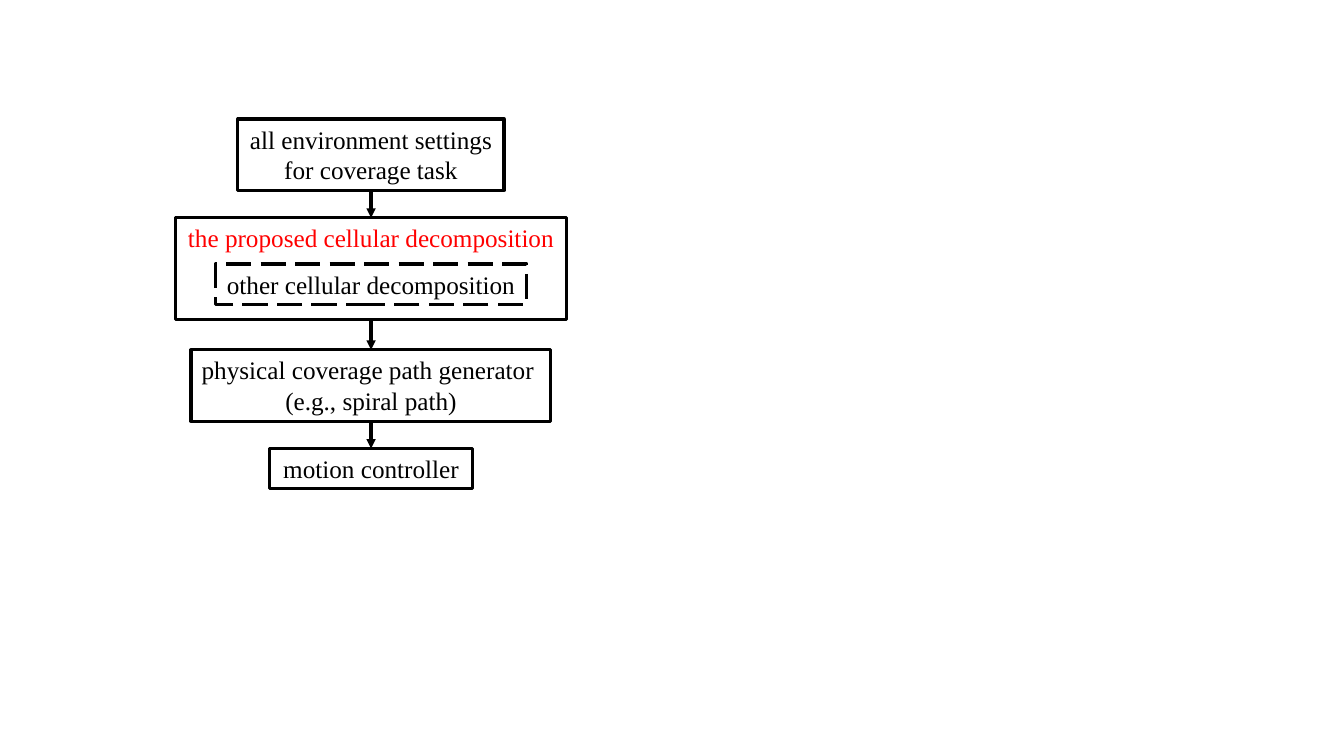
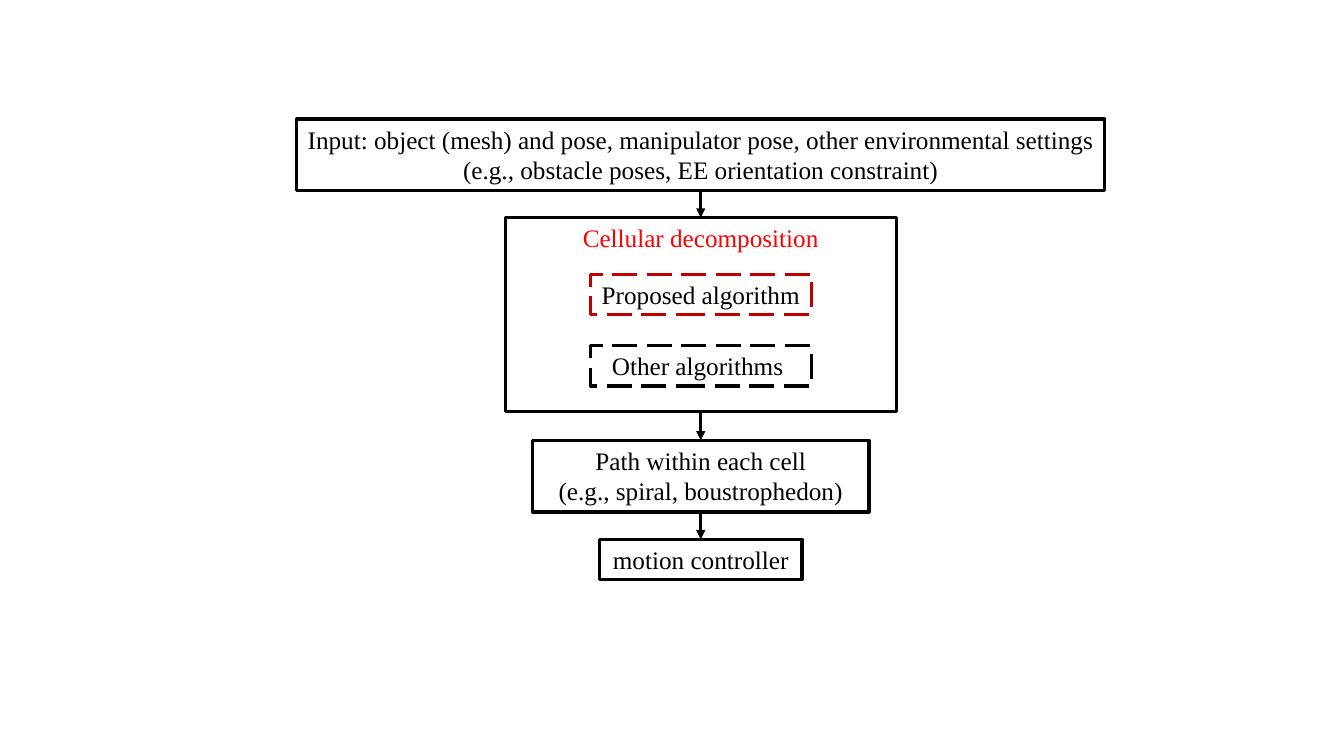
from pptx import Presentation
from pptx.dml.color import RGBColor
from pptx.enum.dml import MSO_LINE_DASH_STYLE as DASH
from pptx.enum.shapes import MSO_CONNECTOR as CONNECTOR, MSO_SHAPE as SHAPE
from pptx.enum.text import MSO_ANCHOR as ANCHOR, PP_ALIGN as ALIGN
from pptx.oxml.ns import qn
from pptx.util import Inches, Pt
from lxml.etree import SubElement

COLORS = {"ink": "000000", "accent": "FF0000", "proposed": "C00000"}
FONT = "Times New Roman"
TOP = 1.18
ONE_LINE, TWO_LINES = 0.4, 0.71


def rgb(name):
    """Return the palette colour with the given name."""
    return RGBColor.from_string(COLORS[name])


def style_line(item, color="ink", dash=None):
    """Give a shape or connector the shared outline and return its XML element."""
    item.line.color.rgb = rgb(color)
    item.line.width = Pt(2.25)
    if dash:
        item.line.dash_style = dash
    outline = item._element.spPr.find(qn("a:ln"))
    SubElement(outline, qn("a:round"))
    return outline


def write_text(frame, text, size=18, color="ink", align=ALIGN.CENTER):
    """Fill a text frame from the top, one paragraph per line of text."""
    frame.word_wrap = False
    frame.vertical_anchor = ANCHOR.TOP
    frame.text = text
    for para in frame.paragraphs:
        para.alignment = align
        para.font.name = FONT
        para.font.size = Pt(size)
        para.font.color.rgb = rgb(color)


def add_box(page, text, center, top, width, height, color="ink", line="ink", dash=None):
    """Draw an outlined text box centred on a vertical axis."""
    box = page.shapes.add_shape(SHAPE.RECTANGLE, Inches(center - width / 2), Inches(top),
                                Inches(width), Inches(height))
    box.shadow.inherit = False
    box.fill.background()
    style_line(box, line, dash)
    write_text(box.text_frame, text, color=color)


def add_arrow(page, center, top, bottom):
    """Draw a downward arrow between two boxes."""
    arrow = page.shapes.add_connector(CONNECTOR.STRAIGHT, Inches(center), Inches(top),
                                      Inches(center), Inches(bottom))
    outline = style_line(arrow)
    SubElement(outline, qn("a:tailEnd"), type="triangle")
    SubElement(arrow._element.spPr, qn("a:effectLst"))


def add_flow(deck, center, steps):
    """Add a slide with a top-down flow of steps, each with optional inner options."""
    page = deck.slides.add_slide(deck.slide_layouts[6])
    top = TOP
    for text, width, height, gap, color, options in steps:
        add_box(page, text, center, top, width, height, color)
        for label, offset, inner_width, line in options:
            add_box(page, label, center, top + offset, inner_width, ONE_LINE,
                    line=line, dash=DASH.LONG_DASH)
        bottom = top + height
        if gap:
            add_arrow(page, center, bottom, bottom + gap)
        top = bottom + gap


deck = Presentation()
deck.slide_width, deck.slide_height = Inches(13.33), Inches(7.5)

controller = ("motion controller", 2.01, ONE_LINE, 0, "ink", [])
add_flow(deck, 3.68, [
    ("all environment settings\nfor coverage task", 2.64, TWO_LINES, 0.27, "ink", []),
    ("the proposed cellular decomposition", 3.88, 1.01, 0.3, "accent",
     [("other cellular decomposition", 0.46, 3.09, "ink")]),
    ("physical coverage path generator \n(e.g., spiral path)", 3.57, TWO_LINES, 0.27, "ink", []),
    controller,
])
add_flow(deck, 6.95, [
    ("Input: object (mesh) and pose, manipulator pose, other environmental settings\n"
     "(e.g., obstacle poses, EE orientation constraint)", 8.01, TWO_LINES, 0.27, "ink", []),
    ("Cellular decomposition", 3.88, 1.92, 0.29, "accent",
     [("Proposed algorithm", 0.56, 2.19, "proposed"),
      ("Other algorithms ", 1.27, 2.19, "ink")]),
    ("Path within each cell\n(e.g., spiral, boustrophedon)", 3.34, TWO_LINES, 0.27, "ink", []),
    controller,
])
deck.save("out.pptx")
